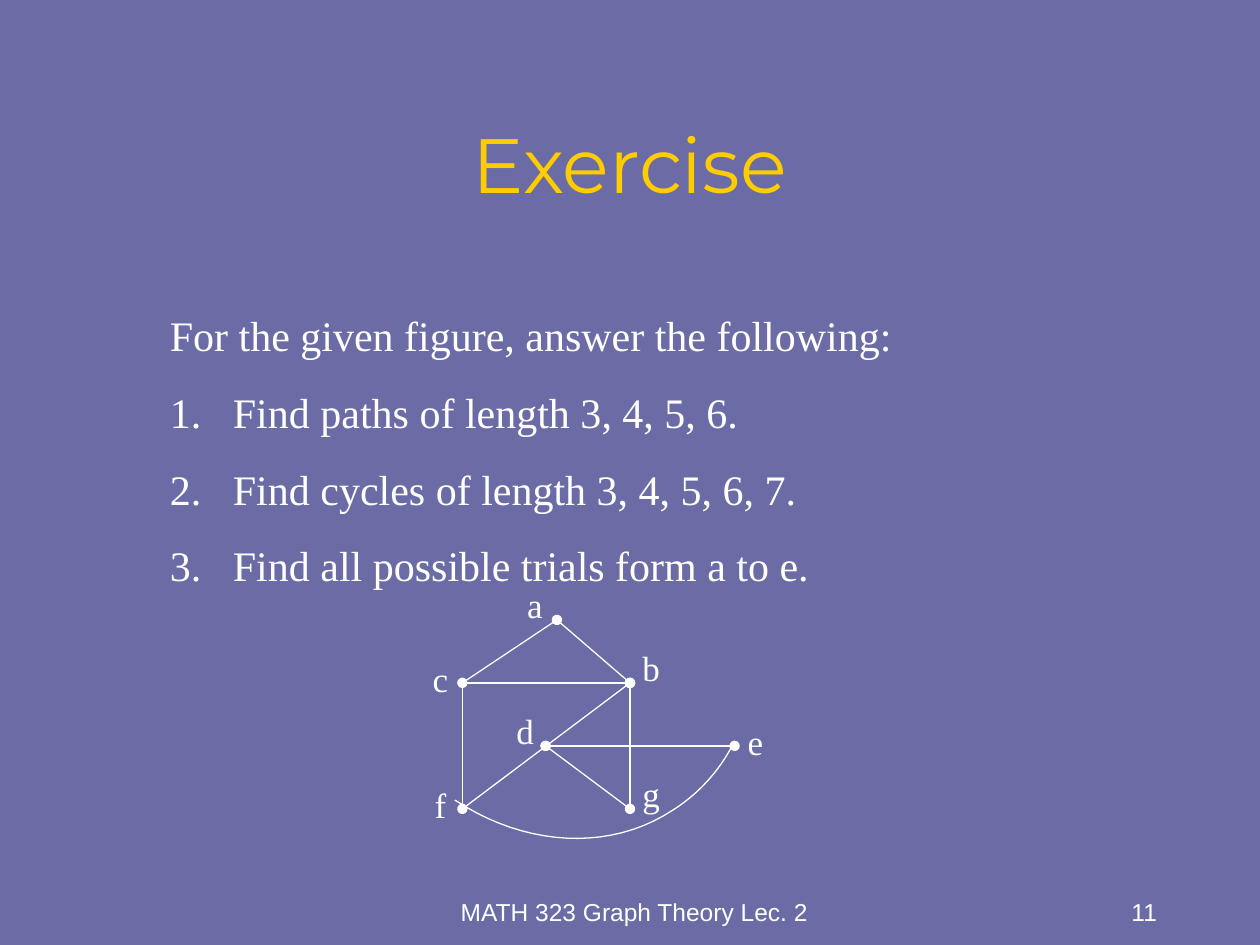
from lxml import etree
from pptx import Presentation
from pptx import util as u
from pptx.dml.color import RGBColor
from pptx.enum import shapes, text
from pptx.oxml.ns import qn

INCH = 2.54
WHITE = "FFFFFF"
SERIF = "Times New Roman"

deck = Presentation()
deck.slide_width, deck.slide_height = u.Cm(25.4), u.Cm(19.05)
slide = deck.slides.add_slide(deck.slide_layouts[6])


def paint(target, color):
    """Give a fill or a line's fill one solid colour."""
    target.solid()
    target.fore_color.rgb = RGBColor.from_string(color)


def add_text(lines, left, top, width, height, size=20, font=SERIF, color=WHITE,
             align=text.PP_ALIGN.CENTER, anchor=text.MSO_ANCHOR.TOP, gap=0):
    """Add a text box, its place in inches, and return its paragraphs."""
    box = slide.shapes.add_textbox(*(u.Cm(n * INCH) for n in (left, top, width, height)))
    frame = box.text_frame
    frame.word_wrap = True
    frame.vertical_anchor = anchor
    frame.text = "\n".join(lines)
    for index, para in enumerate(frame.paragraphs):
        para.alignment = align
        para.space_before = u.Pt(gap if index else 0)
        for span in para.runs:
            span.font.size = u.Pt(size)
            span.font.name = font
            paint(span.font.fill, color)
    return frame.paragraphs


# Background
paint(slide.background.fill, "6B6BA6")

# Title and footer
add_text(["Exercise"], 0.75, 0.88, 8.5, 0.83, size=44, font="Montserrat",
         color="FFCC00", anchor=text.MSO_ANCHOR.MIDDLE)
add_text(["MATH 323 Graph Theory Lec. 2"], 3.45, 6.9, 3.17, 0.5, size=14,
         font="Arial", anchor=text.MSO_ANCHOR.BOTTOM)
add_text(["11"], 7.2, 6.9, 2.08, 0.5, size=14, font="Arial",
         align=text.PP_ALIGN.RIGHT, anchor=text.MSO_ANCHOR.BOTTOM)

# Question and numbered tasks
question = add_text(
    ["For the given figure, answer the following:",
     "Find paths of length 3, 4, 5, 6.",
     "Find cycles of length 3, 4, 5, 6, 7.",
     "Find all possible trials form a to e."],
    1.25, 2.41, 7.25, 4.15, size=24, align=text.PP_ALIGN.LEFT, gap=15)
for index, para in enumerate(question):
    props = para._p.get_or_add_pPr()
    props.set("marL", str(u.Cm(0.5 * INCH)))
    props.set("indent", str(-u.Cm(0.5 * INCH)))
    if index:
        etree.SubElement(props, qn("a:buAutoNum"), type="arabicPeriod")

# Graph edges, some of which carry the vertex dots at their ends
vertices = {"a": (4.42, 4.92), "b": (5, 5.42), "c": (3.67, 5.42), "d": (4.33, 5.92),
            "e": (5.83, 5.92), "f": (3.67, 6.42), "g": (5, 6.42)}
dotted = {"cb", "fb", "gd", "de", "ab"}
for edge in ("cb", "cf", "fb", "bg", "gd", "de", "ca", "ab"):
    ends = [u.Cm(n * INCH) for name in edge for n in vertices[name]]
    line = slide.shapes.add_connector(shapes.MSO_CONNECTOR.STRAIGHT, *ends)
    line.line.width = u.Pt(0.75)
    paint(line.line.fill, WHITE)
    if edge in dotted:
        for tag in ("a:headEnd", "a:tailEnd"):
            etree.SubElement(line.line._get_or_add_ln(), qn(tag), type="oval")
    etree.SubElement(line._element.spPr, qn("a:effectLst"))

# Curved edge from e to f, traced along two Bezier segments
segments = [((5.8, 5.94), (5.69, 6.14), (5.53, 6.31), (5.34, 6.43)),
            ((5.34, 6.43), (4.84, 6.76), (4.17, 6.72), (3.61, 6.35))]
steps = 20
points = []
for segment in segments:
    for step in range(steps + 1):
        t = step / steps
        weights = ((1 - t) ** 3, 3 * t * (1 - t) ** 2, 3 * t ** 2 * (1 - t), t ** 3)
        points.append([u.Cm(INCH * sum(w * n for w, n in zip(weights, axis)))
                       for axis in zip(*segment)])
builder = slide.shapes.build_freeform(*points[0])
builder.add_line_segments(points[1:], close=False)
curve = builder.convert_to_shape()
curve.shadow.inherit = False
curve.fill.background()
curve.line.width = u.Pt(0.75)
paint(curve.line.fill, WHITE)

# Vertex labels
labels = {"a": (4.08, 4.58), "d": (4, 5.58), "c": (3.33, 5.17), "b": (5, 5.08),
          "f": (3.33, 6.17), "g": (5, 6.08), "e": (5.83, 5.67)}
for name, (left, top) in labels.items():
    add_text([name], left, top, 0.33, 0.44)

deck.save("out.pptx")
